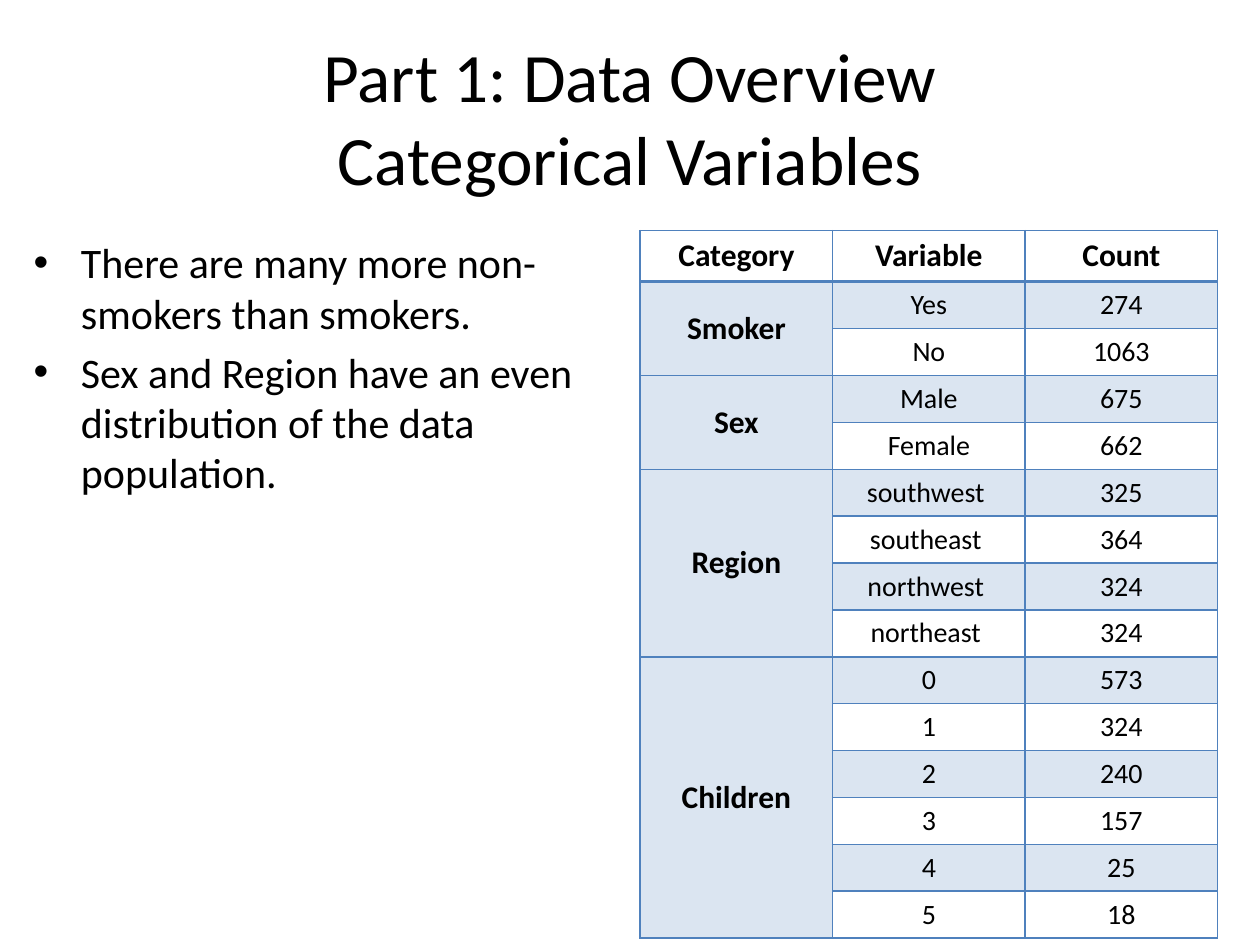
import pptx
import pptx.util
import pptx.oxml
import pptx.oxml.ns
import pptx.dml.color
import pptx.enum.text

Pt = pptx.util.Pt
ALIGN = pptx.enum.text.PP_ALIGN
ANCHOR = pptx.enum.text.MSO_ANCHOR

HUES = {"ink": "000000", "blue": "4F81BD"}
TITLE = "Part 1: Data Overview\vCategorical Variables"
POINTS = [
    "There are many more non-smokers than smokers.",
    "Sex and Region have an even distribution of the data population.",
]
HEADS = ["Category", "Variable", "Count"]
GROUPS = {
    "Smoker": [("Yes", 274), ("No", 1063)],
    "Sex": [("Male", 675), ("Female", 662)],
    "Region": [("southwest ", 325), ("southeast ", 364),
               ("northwest ", 324), ("northeast ", 324)],
    "Children": [("0", 573), ("1", 324), ("2", 240),
                 ("3", 157), ("4", 25), ("5", 18)],
}
FONTS = {
    "title": {"name": "Calibri", "size": Pt(39.6), "bold": False},
    "body": {"name": "Calibri", "size": Pt(24), "bold": False},
    "head": {"name": "Calibri", "size": Pt(18), "bold": True},
    "value": {"name": "Calibri", "size": Pt(16), "bold": False},
}
BOXES = {
    "title": (36, 21.6, 648, 90),
    "table": (365.8, 131.8, 330, 404.4),
    "body": (12.2, 131.8, 338.4, 213.8),
}
COL, HEAD, ROW = 110, 29.2, 26.8
INDENT = 27


def assign(target, values):
    for key, value in values.items():
        setattr(target, key, value)


def write(para, text, kind, align):
    para.text = text
    para.alignment = align
    for run in para.runs:
        assign(run.font, FONTS[kind])
        run.font.color.rgb = pptx.dml.color.RGBColor.from_string(HUES["ink"])


def element(parent, tag, **attrs):
    child = parent.makeelement(pptx.oxml.ns.qn(tag), attrs)
    parent.append(child)
    return child


def border(cell, sides):
    props = cell._tc.get_or_add_tcPr()
    for side, width in sides.items():
        line = element(props, "a:ln" + side, w=str(Pt(width)))
        paint = element(line, "a:solidFill")
        element(paint, "a:srgbClr", val=HUES["blue"])


def shade(cell, tinted):
    if not tinted:
        cell.fill.background()
        return
    cell.fill.solid()
    cell.fill.fore_color.rgb = pptx.dml.color.RGBColor.from_string(HUES["blue"])
    color = cell._tc.tcPr.find(pptx.oxml.ns.qn("a:solidFill"))[0]
    element(color, "a:alpha", val="20000")


def add_text(slide, kind, anchor):
    frame = slide.shapes.add_textbox(*map(Pt, BOXES[kind])).text_frame
    assign(frame, {"word_wrap": True, "vertical_anchor": anchor})
    return frame


def add_title(slide):
    frame = add_text(slide, "title", ANCHOR.MIDDLE)
    write(frame.paragraphs[0], TITLE, "title", ALIGN.CENTER)


def add_points(slide):
    frame = add_text(slide, "body", ANCHOR.TOP)
    for index, point in enumerate(POINTS):
        para = frame.add_paragraph() if index else frame.paragraphs[0]
        write(para, point, "body", ALIGN.LEFT)
        para.space_before = Pt(4.8)
        props = para._p.get_or_add_pPr()
        props.set("marL", str(Pt(INDENT)))
        props.set("indent", str(-Pt(INDENT)))
        element(props, "a:buFont", typeface="Arial")
        element(props, "a:buChar", char="•")


def add_table(slide):
    rows = [HEADS]
    spans = []
    for name, items in GROUPS.items():
        spans.append((len(rows), len(items)))
        rows += [(name if not i else "", label, str(count))
                 for i, (label, count) in enumerate(items)]
    shape = slide.shapes.add_table(len(rows), len(HEADS), *map(Pt, BOXES["table"]))
    table = shape.table
    assign(table, {"first_row": False, "horz_banding": False})
    for col in table.columns:
        col.width = Pt(COL)
    for r, texts in enumerate(rows):
        table.rows[r].height = Pt(ROW if r else HEAD)
        for c, text in enumerate(texts):
            cell = table.cell(r, c)
            kind = "head" if r == 0 or c == 0 else "value"
            write(cell.text_frame.paragraphs[0], text, kind, ALIGN.CENTER)
            cell.vertical_anchor = ANCHOR.MIDDLE if r else ANCHOR.TOP
            border(cell, {"L": 1, "R": 1, "T": 2 if r == 1 else 1,
                          "B": 1 if r else 2})
            shade(cell, r > 0 and (c == 0 or r % 2 == 1))
    for start, size in spans:
        table.cell(start, 0).merge(table.cell(start + size - 1, 0))


def main():
    deck = pptx.Presentation()
    assign(deck, {"slide_width": Pt(720), "slide_height": Pt(540)})
    slide = deck.slides.add_slide(deck.slide_layouts[6])
    add_title(slide)
    add_table(slide)
    add_points(slide)
    deck.save("out.pptx")


if __name__ == "__main__":
    main()
